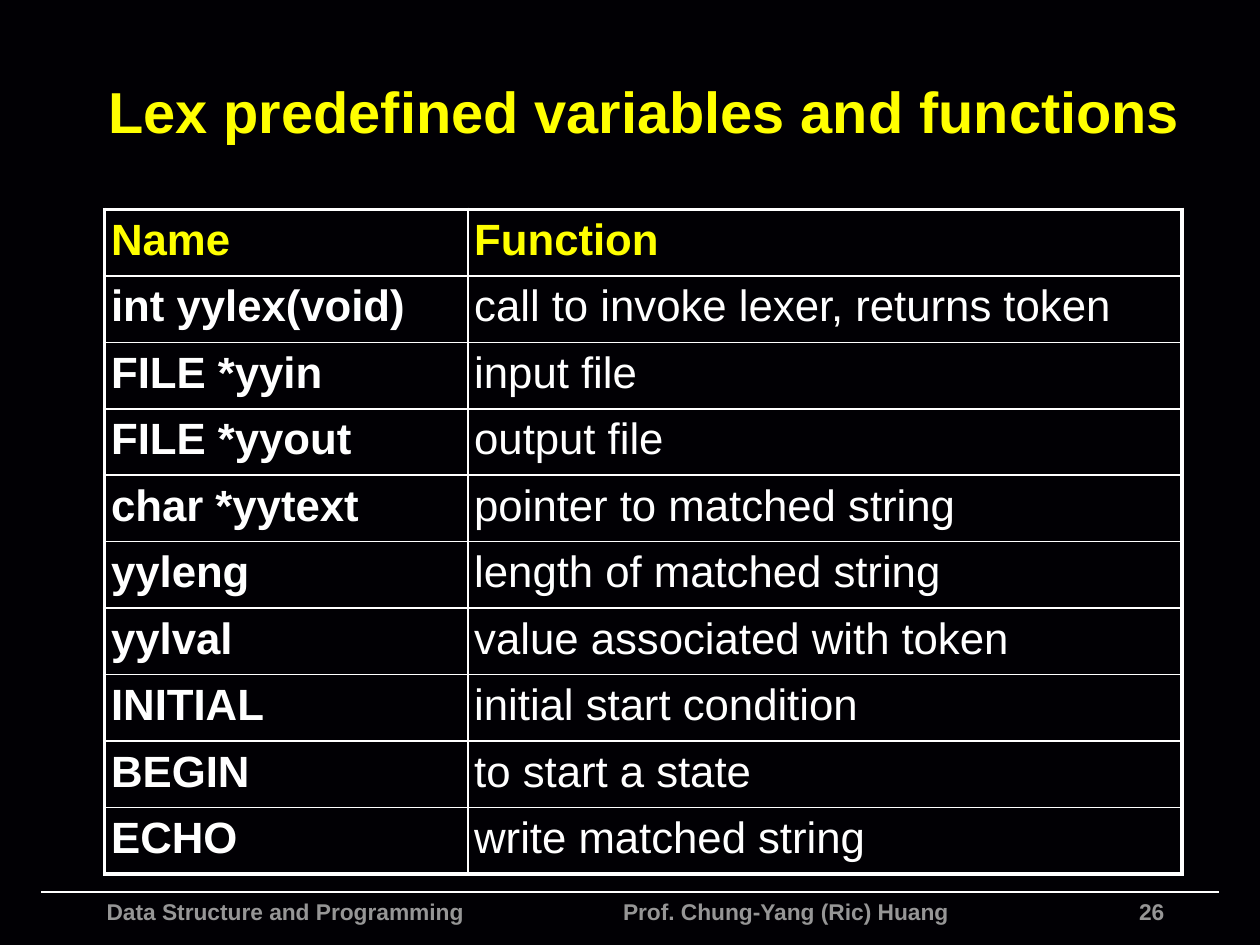
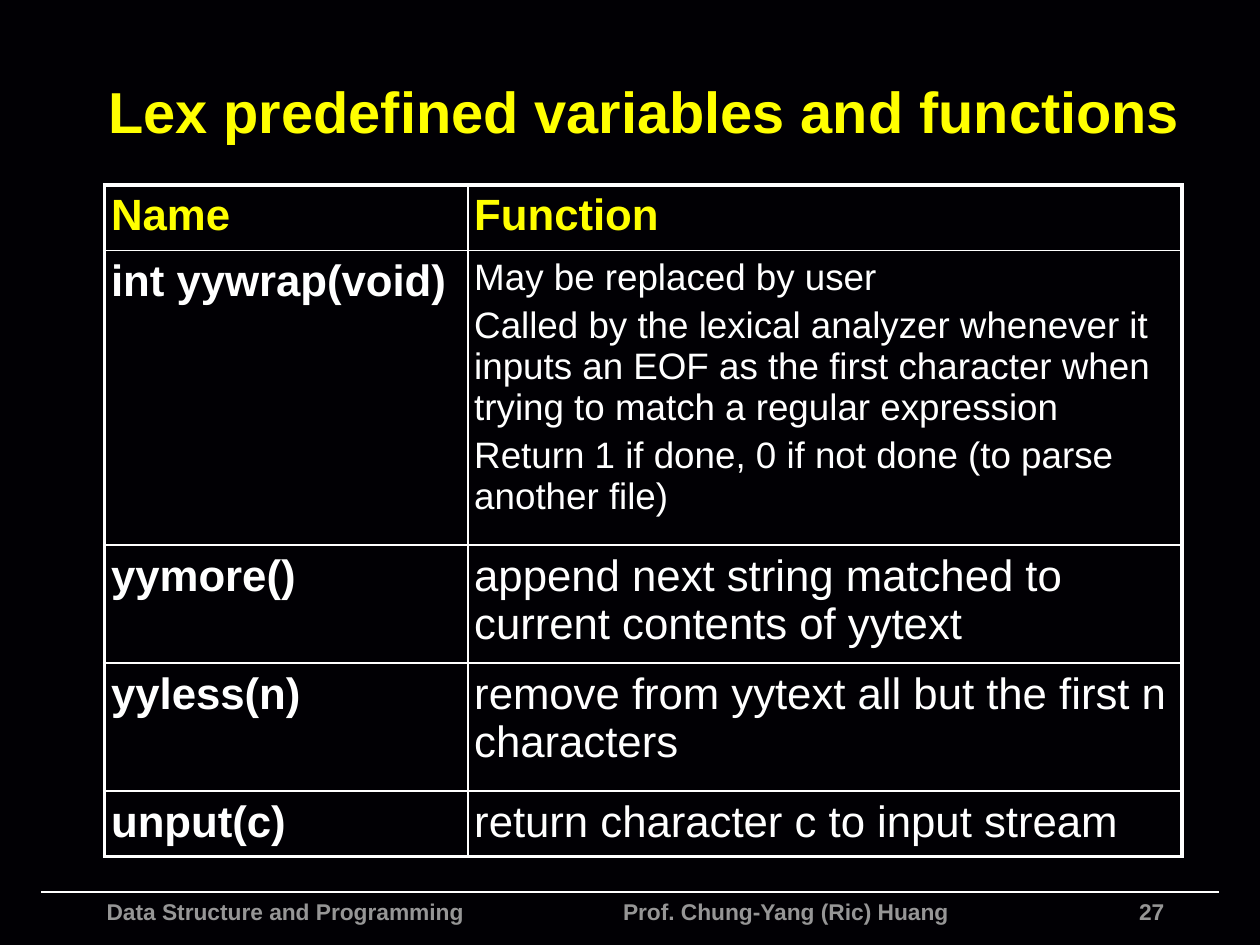
from lxml.etree import SubElement
from pptx import Presentation
from pptx.dml.color import RGBColor
from pptx.enum.shapes import MSO_CONNECTOR
from pptx.enum.text import MSO_ANCHOR, MSO_AUTO_SIZE, PP_ALIGN
from pptx.oxml.ns import qn
from pptx.util import Cm, Pt

COLORS = {
    "background": "010004",
    "title": "FFFF00",
    "text": "FFFFFF",
    "footer": "969696",
}
FONT = "Arial"
TITLE = "Lex predefined variables and functions"
COURSE = "Data Structure and Programming"
TEACHER = "Prof. Chung-Yang (Ric) Huang"
FIRST_PAGE = 26

# Character formats
TITLE_FORMAT = {"size": Pt(33), "bold": True, "color": "title"}
HEADER_FORMAT = {"size": Pt(25), "bold": True, "color": "title"}
NAME_FORMAT = {"size": Pt(25), "bold": True, "color": "text"}
FUNCTION_FORMAT = {"size": Pt(25), "bold": False, "color": "text"}
DETAIL_FORMAT = {"size": Pt(21), "bold": False, "color": "text"}
FOOTER_FORMAT = {"size": Pt(13), "bold": True, "color": "footer"}

# Table geometry
TABLE_LEFT = Cm(2.11)
COLUMN_WIDTHS = [Cm(7.32), Cm(14.4)]
CELL_MARGIN = Cm(0.13)
OUTER_BORDER, INNER_BORDER = Pt(2.25), Pt(1)

# Each table: top, row heights in cm, rows of name and function paragraphs
TABLES = [
    {
        "top": Cm(4.22),
        "heights": [1.34] * 10,
        "rows": [
            ("Name", ["Function"]),
            ("int yylex(void)", ["call to invoke lexer, returns token"]),
            ("FILE *yyin", ["input file"]),
            ("FILE *yyout", ["output file"]),
            ("char *yytext", ["pointer to matched string"]),
            ("yyleng", ["length of matched string"]),
            ("yylval", ["value associated with token"]),
            ("INITIAL", ["initial start condition"]),
            ("BEGIN", ["to start a state"]),
            ("ECHO", ["write matched string"]),
        ],
    },
    {
        "top": Cm(3.73),
        "heights": [1.31, 5.94, 2.38, 2.58, 1.31],
        "rows": [
            ("Name", ["Function"]),
            ("int yywrap(void)", [
                "May be replaced by user",
                "Called by the lexical analyzer whenever it inputs an EOF as "
                "the first character when trying to match a regular expression",
                "Return 1 if done, 0 if not done (to parse another file)",
            ]),
            ("yymore()", ["append next string matched to current contents of yytext"]),
            ("yyless(n)", ["remove from yytext all but the first n characters"]),
            ("unput(c)", ["return character c to input stream"]),
        ],
    },
]


def rgb(name):
    return RGBColor.from_string(COLORS[name])


def set_attributes(target, values):
    for name, value in values.items():
        setattr(target, name, value)


def write_paragraphs(text_frame, texts, text_format, alignment=PP_ALIGN.LEFT):
    """Fill a text frame, one paragraph per text, spaced by a fifth of the size."""
    for index, text in enumerate(texts):
        paragraph = text_frame.add_paragraph() if index else text_frame.paragraphs[0]
        paragraph.alignment = alignment
        paragraph.space_before = text_format["size"] // 5 if index else 0
        run = paragraph.add_run()
        run.text = text
        set_attributes(run.font, {"name": FONT, "size": text_format["size"],
                                  "bold": text_format["bold"]})
        run.font.color.rgb = rgb(text_format["color"])


def add_title(slide):
    title = slide.shapes.title
    set_attributes(title, {"left": Cm(1.93), "top": Cm(0.94),
                           "width": Cm(22.45), "height": Cm(2.57)})
    set_attributes(title.text_frame, {"vertical_anchor": MSO_ANCHOR.MIDDLE,
                                      "auto_size": MSO_AUTO_SIZE.NONE,
                                      "word_wrap": True})
    write_paragraphs(title.text_frame, [TITLE], TITLE_FORMAT)


def add_footer_text(slide, text, left, width, alignment):
    text_box = slide.shapes.add_textbox(left, Cm(17.98), width, Cm(1.07))
    text_box.text_frame.word_wrap = True
    write_paragraphs(text_box.text_frame, [text], FOOTER_FORMAT, alignment)
    return text_box.text_frame.paragraphs[0]


def add_footer(slide, page):
    rule = slide.shapes.add_connector(MSO_CONNECTOR.STRAIGHT,
                                      Cm(0.83), Cm(17.98), Cm(24.57), Cm(17.98))
    rule.line.color.rgb = rgb("text")
    rule.line.width = Pt(1)
    SubElement(rule.element.spPr, qn("a:effectLst"))

    add_footer_text(slide, str(page), Cm(15.67), Cm(8.05), PP_ALIGN.RIGHT)
    paragraph = add_footer_text(slide, f"{COURSE}\t{TEACHER}",
                                Cm(1.9), Cm(18.4), PP_ALIGN.LEFT)
    # The tab stop sets where the teacher's name begins
    tab_stops = SubElement(paragraph._p.get_or_add_pPr(), qn("a:tabLst"))
    SubElement(tab_stops, qn("a:tab"), pos=str(Cm(10.41)), algn="l")


def add_borders(cell, widths):
    """Draw the left, right, top and bottom borders in the given widths."""
    properties = cell._tc.get_or_add_tcPr()
    for side, width in zip("LRTB", widths):
        line = SubElement(properties, qn(f"a:ln{side}"), w=str(width))
        fill = SubElement(line, qn("a:solidFill"))
        SubElement(fill, qn("a:srgbClr"), val=COLORS["text"])


def choose_format(row, column, texts):
    if row == 0:
        return HEADER_FORMAT
    if column == 0:
        return NAME_FORMAT
    return DETAIL_FORMAT if len(texts) > 1 else FUNCTION_FORMAT


def add_function_table(slide, content):
    heights = [Cm(height) for height in content["heights"]]
    rows = content["rows"]
    last_row, last_column = len(rows) - 1, len(COLUMN_WIDTHS) - 1
    table = slide.shapes.add_table(len(rows), len(COLUMN_WIDTHS), TABLE_LEFT,
                                   content["top"], sum(COLUMN_WIDTHS),
                                   sum(heights)).table
    set_attributes(table, {"first_row": False, "horz_banding": False})
    for column, width in zip(table.columns, COLUMN_WIDTHS):
        column.width = width
    for row, height in zip(table.rows, heights):
        row.height = height

    for row, (name, functions) in enumerate(rows):
        for column, texts in enumerate([[name], functions]):
            cell = table.cell(row, column)
            set_attributes(cell, {f"margin_{side}": CELL_MARGIN
                                  for side in ("left", "right", "top", "bottom")})
            cell.vertical_anchor = MSO_ANCHOR.TOP
            on_edge = (column == 0, column == last_column, row == 0, row == last_row)
            add_borders(cell, [OUTER_BORDER if edge else INNER_BORDER
                               for edge in on_edge])
            cell.fill.background()
            write_paragraphs(cell.text_frame, texts, choose_format(row, column, texts))


def main():
    presentation = Presentation()
    set_attributes(presentation, {"slide_width": Cm(25.4), "slide_height": Cm(19.05)})

    # Shared background
    background = presentation.slide_master.background.fill
    background.solid()
    background.fore_color.rgb = rgb("background")

    title_only = presentation.slide_layouts.get_by_name("Title Only")
    for page, content in enumerate(TABLES, FIRST_PAGE):
        slide = presentation.slides.add_slide(title_only)
        add_footer(slide, page)
        add_title(slide)
        add_function_table(slide, content)

    presentation.save("out.pptx")


main()
